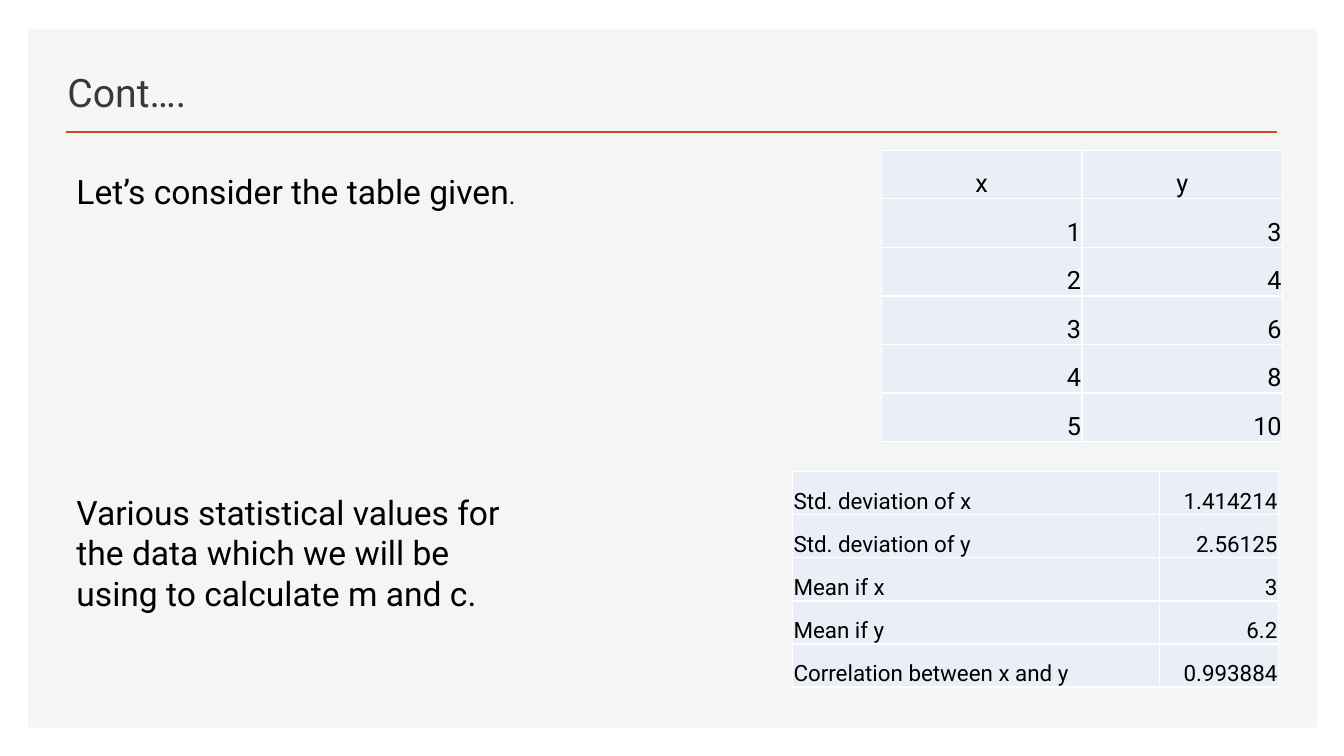
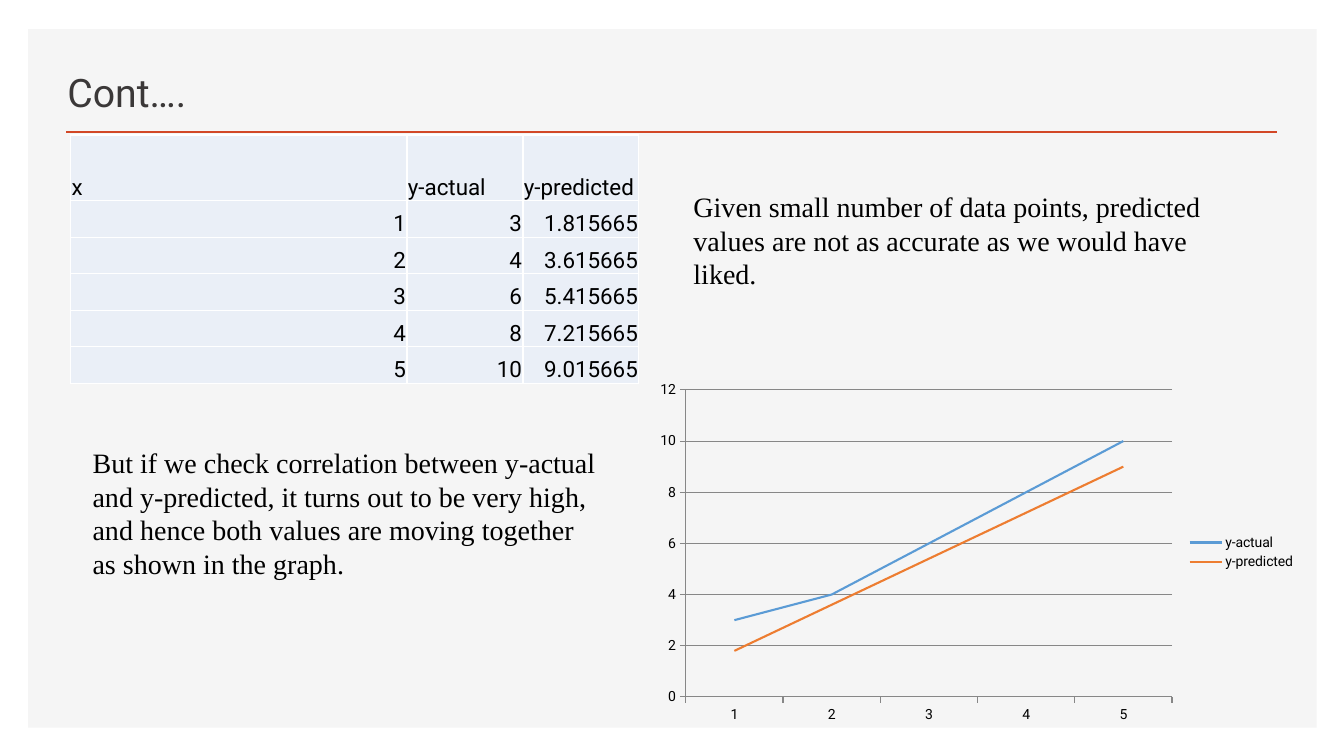
import lxml.etree
import pptx
import pptx.chart.data
import pptx.dml.color
import pptx.enum.chart
import pptx.enum.shapes
import pptx.enum.text
import pptx.oxml
import pptx.oxml.ns
import pptx.util

WIDE = pptx.util.Inches(13.33)
HIGH = pptx.util.Inches(7.5)
PANEL, RULE, TITLE = "F5F5F5", "D24726", "3B3838"
CELL, EDGE, INK, GRID = "EAEFF7", "FFFFFF", "000000", "878787"
BLUE, ORANGE = "5B9BD5", "ED7D31"
SANS, SERIF = "Roboto", "Times New Roman"
ALIGN = pptx.enum.text.PP_ALIGN
ANCHOR = pptx.enum.text.MSO_ANCHOR

XS = ["1", "2", "3", "4", "5"]
YS = ["3", "4", "6", "8", "10"]
GUESS = ["1.815665", "3.615665", "5.415665", "7.215665", "9.015665"]
STATS = [
    ("Std. deviation of x", "1.414214"),
    ("Std. deviation of y", "2.56125"),
    ("Mean if x", "3"),
    ("Mean if y", "6.2"),
    ("Correlation between x and y", "0.993884"),
]


def across(share):
    return round(WIDE * share / 100)


def down(share):
    return round(HIGH * share / 100)


def place(left, top, width, height):
    return across(left), down(top), across(width), down(height)


def tint(code):
    return pptx.dml.color.RGBColor.from_string(code)


def style(font, size, face=SANS, code=INK):
    font.size = pptx.util.Pt(size)
    font.name = face
    font.color.rgb = tint(code)


def paint(fill, code):
    fill.solid()
    fill.fore_color.rgb = tint(code)


def add_run(para, text, size, face=SANS, code=INK):
    run = para.add_run()
    run.text = text
    style(run.font, size, face, code)


def add_text(slide, spot, runs, face=SANS, code=INK, anchor=ANCHOR.TOP):
    frame = slide.shapes.add_textbox(*place(*spot)).text_frame
    frame.word_wrap = True
    frame.vertical_anchor = anchor
    for text, size in runs:
        add_run(frame.paragraphs[0], text, size, face, code)


def add_frame(slide, title):
    panel = slide.shapes.add_shape(
        pptx.enum.shapes.MSO_SHAPE.RECTANGLE, *place(2.1, 3.87, 95.87, 92.4))
    panel.shadow.inherit = False
    paint(panel.fill, PANEL)
    panel.line.fill.background()
    rule = slide.shapes.add_connector(
        pptx.enum.shapes.MSO_CONNECTOR.STRAIGHT,
        across(4.95), down(17.47), across(95.05), down(17.47))
    rule.line.color.rgb = tint(RULE)
    rule.line.width = pptx.util.Pt(2)
    lxml.etree.SubElement(
        rule._element.spPr, pptx.oxml.ns.qn("a:effectLst"))
    add_text(slide, (4.28, 6.53, 56.4, 9.33), [(title, 28)],
             code=TITLE, anchor=ANCHOR.BOTTOM)


def add_edges(cell):
    props = cell._tc.get_or_add_tcPr()
    for side in ("lnL", "lnR", "lnT", "lnB"):
        props.append(pptx.oxml.parse_xml(
            f'<a:{side} {pptx.oxml.ns.nsdecls("a")} w="12700"><a:solidFill>'
            f'<a:srgbClr val="{EDGE}"/></a:solidFill></a:{side}>'))


def fill_cell(cell, text, size, words):
    add_edges(cell)
    paint(cell.fill, CELL)
    cell.vertical_anchor = ANCHOR.BOTTOM
    inset = pptx.util.Inches(0.01)
    cell.margin_left = cell.margin_right = cell.margin_top = inset
    cell.margin_bottom = 0
    para = cell.text_frame.paragraphs[0]
    para.alignment = ALIGN.RIGHT if text[0].isdigit() else words
    add_run(para, text, size)


def add_table(slide, left, top, cols, rows, data, size, words=ALIGN.LEFT):
    table = slide.shapes.add_table(
        len(rows), len(cols),
        *place(left, top, sum(cols), sum(rows))).table
    table.first_row = table.horz_banding = False
    for col, width in zip(table.columns, cols):
        col.width = across(width)
    for row, height, texts in zip(table.rows, rows, data):
        row.height = down(height)
        for cell, text in zip(row.cells, texts):
            fill_cell(cell, text, size, words)


def add_chart(slide, spot, cats, lines):
    data = pptx.chart.data.CategoryChartData()
    data.categories = cats
    for name, vals, code in lines:
        data.add_series(name, [round(float(val), 1) for val in vals])
    chart = slide.shapes.add_chart(
        pptx.enum.chart.XL_CHART_TYPE.LINE, *place(*spot), data).chart
    style(chart.font, 10)
    chart.has_title = False
    chart.has_legend = True
    chart.legend.position = pptx.enum.chart.XL_LEGEND_POSITION.RIGHT
    chart.legend.include_in_layout = False
    plot = chart.plots[0]
    plot.vary_by_categories = False
    for series, (name, vals, code) in zip(plot.series, lines):
        series.smooth = False
        series.format.line.color.rgb = tint(code)
        series.format.line.width = pptx.util.Pt(1.5)
    scale = chart.value_axis
    scale.minimum_scale, scale.maximum_scale, scale.major_unit = 0, 12, 2
    scale.has_major_gridlines = True
    for part in (scale, chart.category_axis, scale.major_gridlines):
        part.format.line.color.rgb = tint(GRID)
        part.format.line.width = pptx.util.Pt(0.75)
    for axis in (scale, chart.category_axis):
        axis.major_tick_mark = pptx.enum.chart.XL_TICK_MARK.OUTSIDE


def draw_data(slide):
    add_table(slide, 65.57, 19.87, [14.93] * 2, [6.43] * 6,
              [("x", "y"), *zip(XS, YS)], 18, ALIGN.CENTER)
    add_text(slide, (4.95, 22, 54, 6.67),
             [("Let’s consider the table given", 24), (".", 18)])
    add_table(slide, 58.97, 62.4, [27.3, 8.85], [5.7] * 5, STATS, 16)
    add_text(slide, (4.95, 64.4, 34.35, 17.47),
             [("Various statistical values for the data which we will be "
               "using to calculate m and c.", 24)])


def draw_fit(slide):
    heads = ("x", "y-actual", "y-predicted")
    add_table(slide, 5.25, 17.87, [25.03, 8.63, 8.63], [8.67] + [4.83] * 5,
              [heads, *zip(XS, YS, GUESS)], 16)
    add_chart(slide, (48.16, 49.6, 49, 46.93), XS,
              [(heads[1], YS, BLUE), (heads[2], GUESS, ORANGE)])
    add_text(slide, (50.86, 24.4, 41.4, 14.8),
             [("Given small number of data points, predicted values are "
               "not as accurate as we would have liked.", 20)], SERIF)
    add_text(slide, (6.15, 58.27, 39, 19.33),
             [("But if we check correlation between y-actual and "
               "y-predicted, it turns out to be very high, and hence both "
               "values are moving together as shown in the graph.", 20)],
             SERIF)


def main():
    deck = pptx.Presentation()
    deck.slide_width, deck.slide_height = WIDE, HIGH
    for draw in (draw_data, draw_fit):
        slide = deck.slides.add_slide(deck.slide_layouts[6])
        add_frame(slide, "Cont….")
        draw(slide)
    deck.save("out.pptx")


if __name__ == "__main__":
    main()
